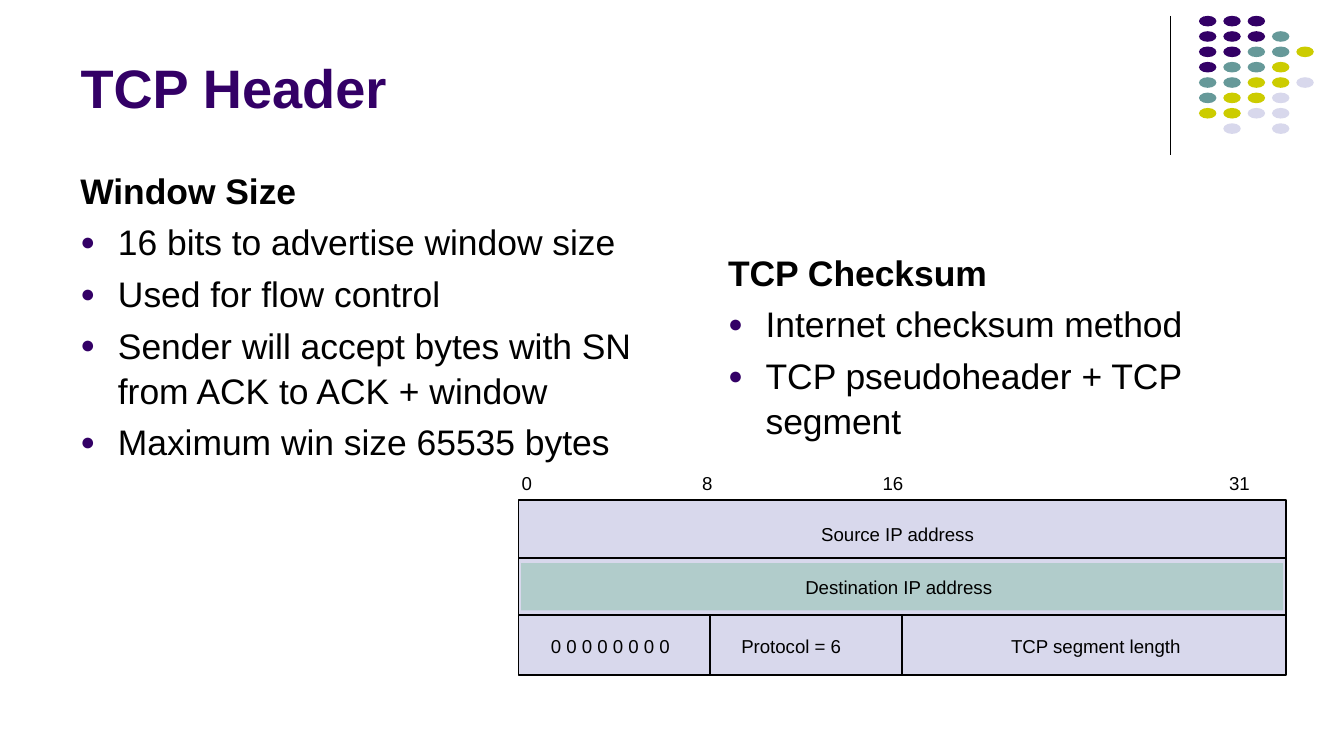
from dataclasses import dataclass

from lxml import etree
from pptx import Presentation
from pptx import util as u
from pptx.dml.color import RGBColor
from pptx.enum import shapes, text
from pptx.oxml.ns import qn


@dataclass(frozen=True)
class Theme:
    font: str = "Arial"
    ink: str = "000000"
    purple: str = "330066"
    teal: str = "669999"
    olive: str = "CCCC00"
    lavender: str = "D8D8EC"
    band: str = "B1CCCB"
    title_size: int = 29
    body_size: int = 19
    label_size: int = 10


def apply(target, values):
    for name, value in values.items():
        setattr(target, name, value)


class SlideBuilder:
    def __init__(self, slide, theme):
        self.slide = slide
        self.theme = theme

    def add_text(self, paragraph, content, size, color, bold=False):
        run = paragraph.add_run()
        run.text = content
        apply(run.font, {"name": self.theme.font, "size": u.Pt(size), "bold": bold})
        run.font.color.rgb = RGBColor.from_string(color)

    def title(self, content, left, top, width, height):
        title = self.slide.shapes.title
        apply(title, {"left": u.Cm(left), "top": u.Cm(top),
                      "width": u.Cm(width), "height": u.Cm(height)})
        apply(title.text_frame, {"vertical_anchor": text.MSO_ANCHOR.BOTTOM,
                                 "word_wrap": True,
                                 "auto_size": text.MSO_AUTO_SIZE.NONE})
        paragraph = title.text_frame.paragraphs[0]
        paragraph.alignment = text.PP_ALIGN.LEFT
        self.add_text(paragraph, content, self.theme.title_size,
                      self.theme.purple, True)

    def text_box(self, left, top, width, height):
        box = self.slide.shapes.add_textbox(
            u.Cm(left), u.Cm(top), u.Cm(width), u.Cm(height))
        box.text_frame.word_wrap = True
        return box.text_frame

    def bullet(self, paragraph):
        properties = paragraph._p.get_or_add_pPr()
        indent = u.Cm(0.71)
        properties.set("marL", str(indent))
        properties.set("indent", str(-indent))
        color = etree.SubElement(properties, qn("a:buClr"))
        etree.SubElement(color, qn("a:srgbClr"), val=self.theme.purple)
        etree.SubElement(properties, qn("a:buSzPct"), val="70000")
        etree.SubElement(properties, qn("a:buFont"), typeface=self.theme.font)
        etree.SubElement(properties, qn("a:buChar"), char="●")

    def section(self, heading, points, left, top, width, height):
        """Bold heading followed by bulleted points."""
        frame = self.text_box(left, top, width, height)
        for index, content in enumerate([heading, *points]):
            paragraph = frame.add_paragraph() if index else frame.paragraphs[0]
            if index:
                self.bullet(paragraph)
                paragraph.space_before = u.Pt(3.8)
            paragraph.line_spacing = 1.05
            self.add_text(paragraph, content, self.theme.body_size,
                          self.theme.ink, bold=not index)

    def label(self, fields, left, top, width, tabs=()):
        """One line of fields, each after the first starting at a tab stop."""
        frame = self.text_box(left, top, width, 0.46)
        apply(frame, dict.fromkeys(
            ("margin_left", "margin_top", "margin_right", "margin_bottom"), 0))
        paragraph = frame.paragraphs[0]
        if tabs:
            stops = etree.SubElement(paragraph._p.get_or_add_pPr(), qn("a:tabLst"))
            for position in tabs:
                etree.SubElement(stops, qn("a:tab"), pos=str(u.Cm(position)), algn="l")
        self.add_text(paragraph, "\t".join(fields), self.theme.label_size,
                      self.theme.ink)

    def shape(self, kind, left, top, width, height, fill, outlined=False):
        shape = self.slide.shapes.add_shape(
            kind, u.Cm(left), u.Cm(top), u.Cm(width), u.Cm(height))
        shape.shadow.inherit = False
        shape.fill.solid()
        shape.fill.fore_color.rgb = RGBColor.from_string(fill)
        if outlined:
            shape.line.color.rgb = RGBColor.from_string(self.theme.ink)
            shape.line.width = u.Pt(1)
        else:
            shape.line.fill.background()
        return shape

    def line(self, x1, y1, x2, y2, weight=1):
        line = self.slide.shapes.add_connector(
            shapes.MSO_CONNECTOR.STRAIGHT, u.Cm(x1), u.Cm(y1), u.Cm(x2), u.Cm(y2))
        line.line.color.rgb = RGBColor.from_string(self.theme.ink)
        line.line.width = u.Pt(weight)
        etree.SubElement(line._element.spPr, qn("a:effectLst"))
        return line

    def dot_grid(self, rows, left, top, x_step, y_step):
        """Draw one dot per letter; a point leaves its place empty."""
        colors = {"P": self.theme.purple, "T": self.theme.teal,
                  "O": self.theme.olive, "L": self.theme.lavender}
        for row, letters in enumerate(rows):
            for column, letter in enumerate(letters):
                if letter in colors:
                    self.shape(shapes.MSO_SHAPE.OVAL, left + column * x_step,
                               top + row * y_step, 0.33, 0.2, colors[letter])

    def pseudoheader(self, left, top, width, height):
        """Draw the 32-bit-wide pseudoheader with its bit ruler."""
        rectangle = shapes.MSO_SHAPE.RECTANGLE
        right, bottom = left + width, top + height
        first_row, second_row = top + 1.09, top + 2.16
        frame = self.shape(rectangle, left, top, width, height,
                           self.theme.lavender, outlined=True)
        self.shape(rectangle, left + 0.05, first_row + 0.1, width - 0.1, 0.89,
                   self.theme.band)
        for y in (first_row, second_row):
            self.line(left, y, right, y)
        for bit in (8, 16):
            x = left + width * bit / 32
            divider = self.line(x, bottom, x, second_row)
            if bit == 16:
                divider.begin_connect(frame, 2)
        self.label(["0", "8", "16", "31"], left + 0.06, top - 0.53, width,
                   tabs=(3.41, 6.82, 13.37))
        self.label(["Source IP address"], left + 5.72, top + 0.43, 4)
        self.label(["Destination IP address"], left + 5.42, top + 1.42, 4.6)
        self.label(["0 0 0 0 0 0 0 0", "Protocol = 6", "TCP segment length"],
                   left + 0.61, top + 2.54, width - 1, tabs=(3.6, 8.7))


def main():
    presentation = Presentation()
    presentation.slide_width = u.Cm(25.4)
    presentation.slide_height = u.Cm(14.28)
    slide = presentation.slides.add_slide(presentation.slide_layouts[5])
    builder = SlideBuilder(slide, Theme())

    builder.line(22.12, 0.3, 22.12, 2.92, weight=0.75)
    builder.dot_grid(
        ["PPP", "PPPT", "PPTTO", "PTTO", "TTOOL", "TOOL", "OOLL", ".L.L"],
        left=22.66, top=0.3, x_step=0.46, y_step=0.29)
    builder.title("TCP Header", 1.27, 0.25, 20.95, 2.14)
    builder.section(
        "Window Size",
        ["16 bits to advertise window size",
         "Used for flow control",
         "Sender will accept bytes with SN from ACK to ACK + window",
         "Maximum win size 65535 bytes"],
        1.27, 3.02, 11.23, 6.32)
    builder.section(
        "TCP Checksum",
        ["Internet checksum method", "TCP pseudoheader + TCP segment"],
        13.51, 4.57, 11.23, 5.28)
    builder.pseudoheader(9.8, 9.45, 14.5, 3.3)
    presentation.save("out.pptx")


if __name__ == "__main__":
    main()
